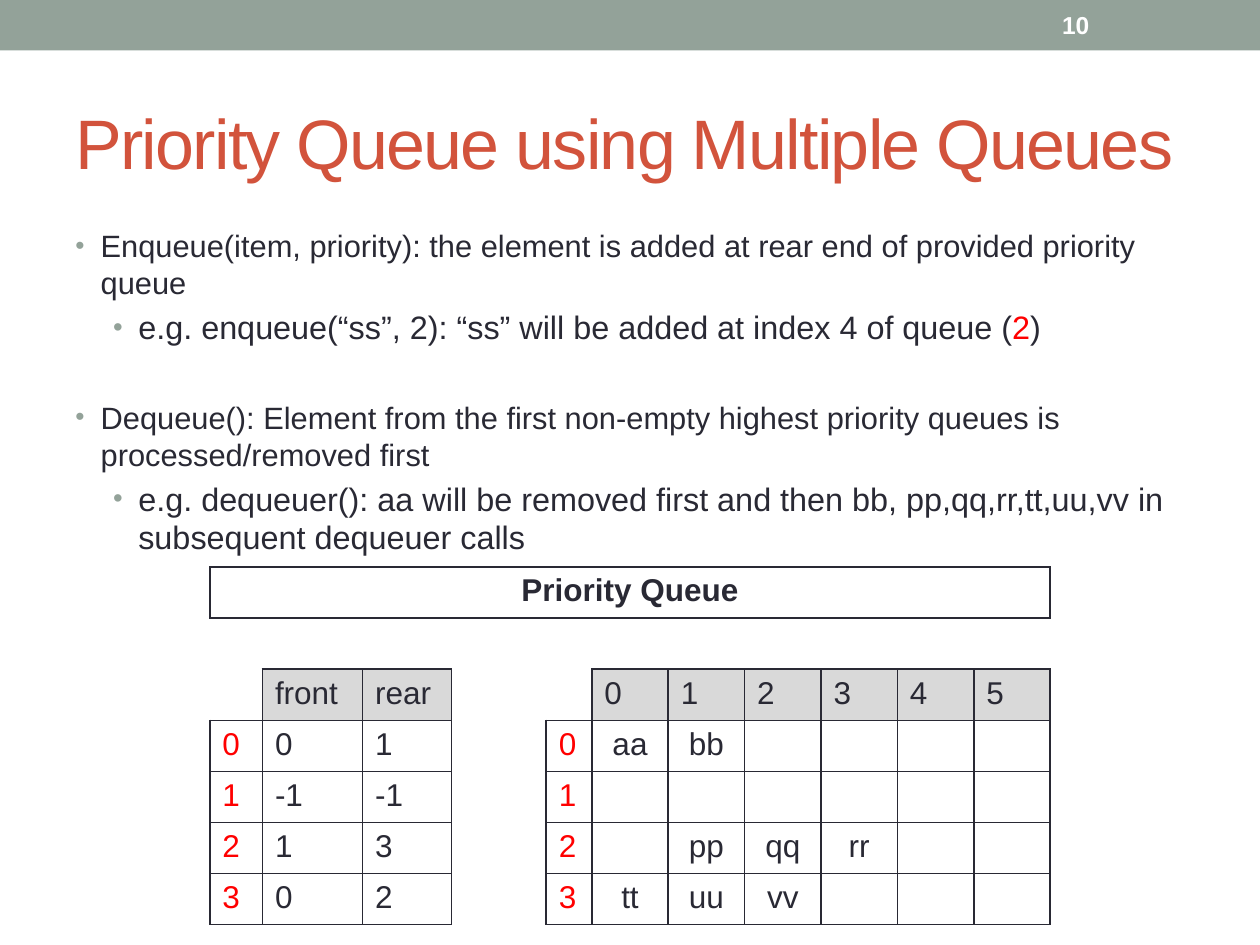
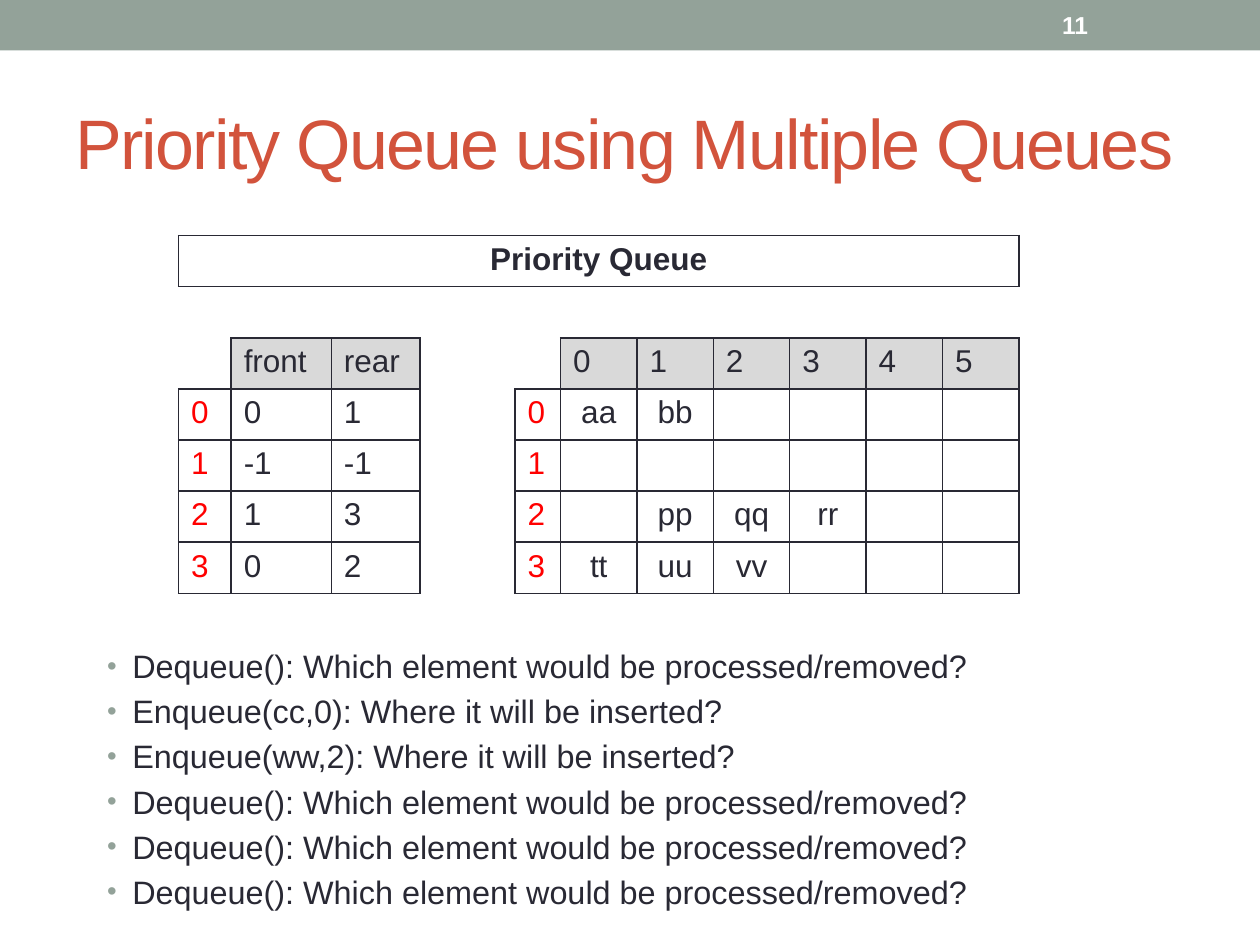
from lxml.etree import SubElement as Sub
from pptx import Presentation
from pptx.dml.color import RGBColor as Rgb
from pptx.enum.shapes import MSO_SHAPE as Shape
from pptx.enum.text import MSO_ANCHOR as Anchor, PP_ALIGN as Align
from pptx.oxml.ns import qn
from pptx.util import Cm, Pt

INK = {"band": "93A299", "title": "D2533C", "text": "292934",
       "mark": "FF0000", "head": "D9D9D9", "white": "FFFFFF"}
FONT = "Arial"
COLS = [1.06, 2.02, 1.79, 1.91, 0.92] + [1.54] * 6
ROW = 1.03
GAP, SIDE = 3, (0, 4)
GRID = [
    ["Priority Queue"],
    [],
    ["", "front", "rear", "", "", "0", "1", "2", "3", "4", "5"],
    ["0", "0", "1", "", "0", "aa", "bb"],
    ["1", "-1", "-1", "", "1"],
    ["2", "1", "3", "", "2", "", "pp", "qq", "rr"],
    ["3", "0", "2", "", "3", "tt", "uu", "vv"],
]
TITLE = "Priority Queue using Multiple Queues"
ASK = "Dequeue(): Which element would be processed/removed?"
RULES = [
    (0, 3.6, ["Enqueue(item, priority): the element is added at rear end of "
              "provided priority queue"]),
    (1, 3.6, ["e.g. enqueue(“ss”, 2): “ss” will be added at index 4 of queue (",
              "2", ")"]),
    (0, 30, ["Dequeue(): Element from the first non-empty highest priority "
             "queues is processed/removed first"]),
    (1, 3.6, ["e.g. dequeuer(): aa will be removed first and then bb, "
              "pp,qq,rr,tt,uu,vv in subsequent dequeuer calls"]),
]
TASKS = [(0, 3.6, [line]) for line in (
    ASK, "Enqueue(cc,0): Where it will be inserted?",
    "Enqueue(ww,2): Where it will be inserted?", ASK, ASK, ASK)]


def tint(name):
    """Return the named colour."""
    return Rgb.from_string(INK[name])


def style(run, size, ink="text", bold=False):
    """Format one run."""
    font = run.font
    font.name, font.size, font.bold = FONT, Pt(size), bold
    font.color.rgb = tint(ink)


def frame(slide, box, anchor=Anchor.TOP):
    """Add a wrapping text box and return its text frame."""
    text = slide.shapes.add_textbox(*map(Cm, box)).text_frame
    text.word_wrap = True
    text.vertical_anchor = anchor
    return text


def label(slide, box, words, size, ink, bold=False):
    """Add one line of text, centred in height, and return its run."""
    part = frame(slide, box, Anchor.MIDDLE).paragraphs[0]
    part.text = words
    run = part.runs[0]
    style(run, size, ink, bold)
    return run


def base(deck, number):
    """Add a slide with its band, title and number."""
    slide = deck.slides.add_slide(deck.slide_layouts[6])
    band = slide.shapes.add_shape(Shape.RECTANGLE, 0, 0, deck.slide_width, Cm(1.02))
    band.shadow.inherit = False
    band.fill.solid()
    band.fill.fore_color.rgb = tint("band")
    band.line.fill.background()
    run = label(slide, (1.27, 1.48, 22.86, 2.74), TITLE, 40, "title")
    run.font._element.set("spc", "-100")
    label(slide, (21.16, 0.05, 2.97, 0.91), str(number), 14, "white", True)
    return slide


def bullet(part, level):
    """Give a paragraph its indent and bullet."""
    props = part._p.get_or_add_pPr()
    props.set("marL", str(Cm((0.51, 1.27)[level])))
    props.set("indent", str(Cm(-0.51)))
    color = Sub(props, qn("a:buClr"))
    Sub(color, qn("a:srgbClr"), val=INK["band"])
    Sub(props, qn("a:buSzPct"), val="85000")
    Sub(props, qn("a:buFont"), typeface=FONT)
    Sub(props, qn("a:buChar"), char="•")


def points(slide, box, items, sizes):
    """Add a bulleted list with one text size for each level."""
    text = frame(slide, box)
    for index, (level, gap, bits) in enumerate(items):
        part = text.add_paragraph() if index else text.paragraphs[0]
        part.level = level
        part.space_before = Pt(gap)
        bullet(part, level)
        for spot, bit in enumerate(bits):
            run = part.add_run()
            run.text = bit
            style(run, sizes[level], "mark" if spot == 1 else "text")


def boxed(row, col):
    """Tell whether a grid place has a border of its own."""
    if not (0 <= row < len(GRID) and 0 <= col < len(COLS)):
        return False
    if row < 2:
        return row == 0
    return col != GAP and (row > 2 or col not in SIDE)


def border(cell, row, col):
    """Draw the edges that touch a boxed place and clear the others."""
    props = cell._tc.get_or_add_tcPr()
    sides = {"L": (0, -1), "R": (0, 1), "T": (-1, 0), "B": (1, 0)}
    for side, (down, right) in sides.items():
        edge = Sub(props, qn("a:ln" + side), w=str(Pt(1)))
        if boxed(row, col) or boxed(row + down, col + right):
            fill = Sub(edge, qn("a:solidFill"))
            Sub(fill, qn("a:srgbClr"), val=INK["text"])
        else:
            Sub(edge, qn("a:noFill"))


def paint(cell, row, col):
    """Fill a cell and format its text."""
    if row == 2 and boxed(row, col):
        cell.fill.solid()
        cell.fill.fore_color.rgb = tint("head")
    else:
        cell.fill.background()
    part = cell.text_frame.paragraphs[0]
    if row == 0 or (row > 2 and col > 4):
        part.alignment = Align.CENTER
    for run in part.runs:
        style(run, 18, "mark" if row > 2 and col in SIDE else "text", row == 0)


def queue(slide, left, top):
    """Add the priority queue table at the given corner."""
    size = (sum(COLS), ROW * len(GRID))
    table = slide.shapes.add_table(
        len(GRID), len(COLS), *map(Cm, (left, top, *size))).table
    table.first_row = table.horz_banding = False
    for col, width in zip(table.columns, COLS):
        col.width = Cm(width)
    for row in table.rows:
        row.height = Cm(ROW)
    table.cell(0, 0).merge(table.cell(0, len(COLS) - 1))
    for row, words in enumerate(GRID):
        for col in range(len(COLS)):
            cell = table.cell(row, col)
            if cell.is_spanned:
                continue
            if col < len(words) and words[col]:
                cell.text_frame.text = words[col]
            border(cell, row, col)
            paint(cell, row, col)


def main():
    """Build both slides and save them."""
    deck = Presentation()
    deck.slide_width, deck.slide_height = Cm(25.4), Cm(19.05)
    slide = base(deck, 10)
    points(slide, (1.27, 4.45, 22.86, 6.55), RULES, (17.6, 18.5))
    queue(slide, 4.23, 11.43)
    slide = base(deck, 11)
    queue(slide, 3.6, 4.75)
    points(slide, (1.91, 12.9, 22.86, 5.51), TASKS, (18.5,))
    deck.save("out.pptx")


if __name__ == "__main__":
    main()
